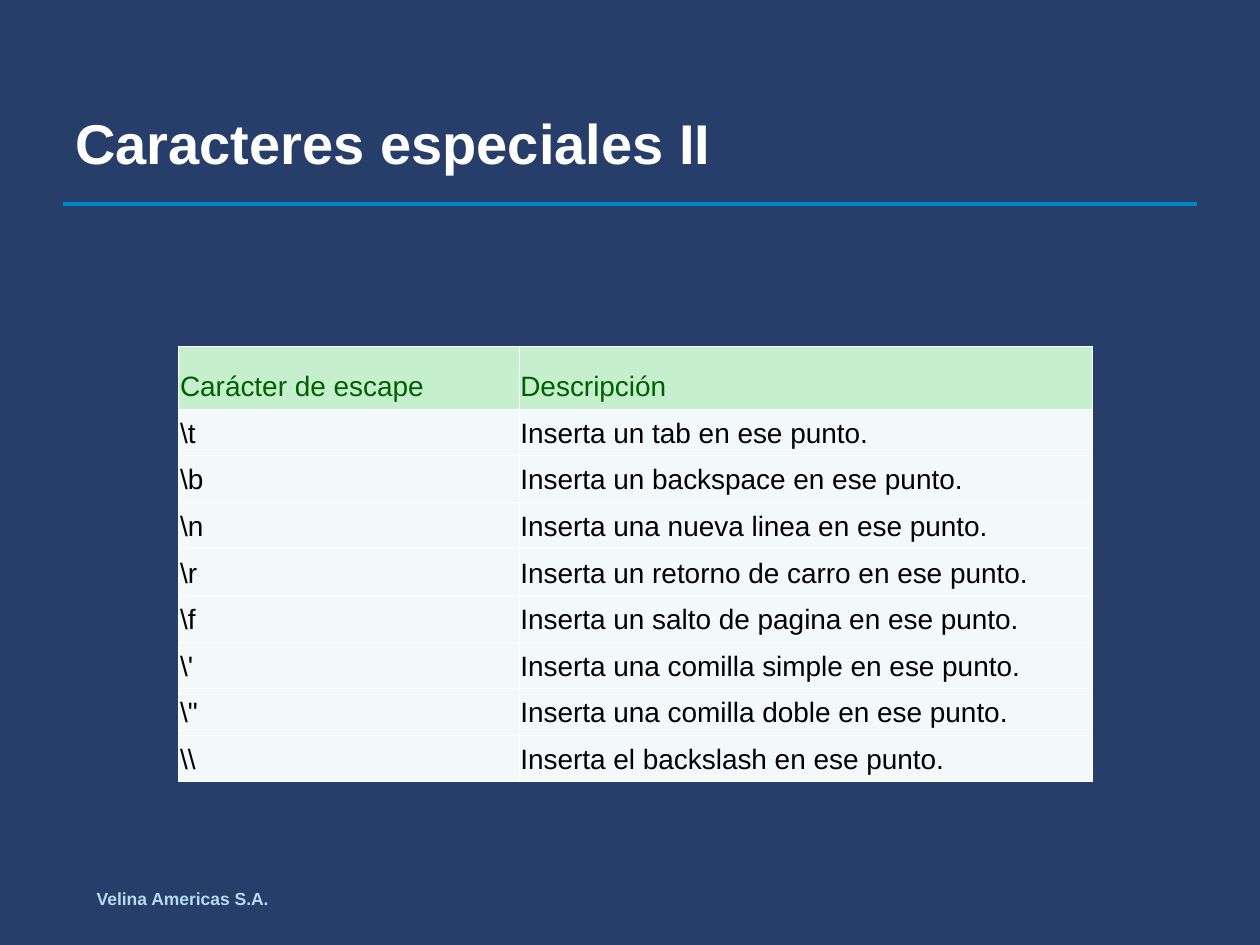
"""Build the slide that lists special escape characters."""
from lxml.etree import SubElement
from pptx import Presentation
from pptx.dml.color import RGBColor
from pptx.enum.shapes import MSO_CONNECTOR
from pptx.enum.text import MSO_ANCHOR
from pptx.oxml import parse_xml
from pptx.oxml.ns import nsdecls, qn
from pptx.util import Cm, Pt

HUES = {
    "back": "283E6A", "rule": "0089C4", "title": "FFFFFF", "foot": "B3DCED",
    "head": "C6EFCE", "green": "006100", "body": "F3F9FA", "ink": "000000",
    "edge": "FFFFFF",
}
ROWS = [
    ("Carácter de escape", "Descripción"),
    (r"\t", "Inserta un tab en ese punto."),
    (r"\b", "Inserta un backspace en ese punto."),
    (r"\n", "Inserta una nueva linea en ese punto."),
    (r"\r", "Inserta un retorno de carro en ese punto."),
    (r"\f", "Inserta un salto de pagina en ese punto."),
    (r"\'", "Inserta una comilla simple en ese punto."),
    (r"\"", "Inserta una comilla doble en ese punto."),
    (r"\\", "Inserta el backslash en ese punto."),
]


def color(name):
    return RGBColor.from_string(HUES[name])


def write(frame, text, size, hue, bold=False):
    line = frame.paragraphs[0]
    line.text = text
    line.font.name = "Arial"
    line.font.size = Pt(size)
    line.font.bold = bold
    line.font.color.rgb = color(hue)


deck = Presentation()
deck.slide_width, deck.slide_height = Cm(25.4), Cm(19.05)
slide = deck.slides.add_slide(deck.slide_layouts[6])
slide.background.fill.solid()
slide.background.fill.fore_color.rgb = color("back")

rule = slide.shapes.add_connector(
    MSO_CONNECTOR.STRAIGHT, Cm(1.27), Cm(4.11), Cm(24.13), Cm(4.11))
rule.line.color.rgb = color("rule")
rule.line.width = Pt(2.25)
SubElement(rule.element.spPr, qn("a:effectLst"))

labels = [
    ("Velina Americas S.A.", (1.7, 17.78, 15.04, 0.89), 10, "foot", MSO_ANCHOR.TOP),
    ("Caracteres especiales II", (1.27, 1.27, 22.86, 3.18), 32, "title", MSO_ANCHOR.MIDDLE),
]
for text, place, size, hue, anchor in labels:
    frame = slide.shapes.add_textbox(*map(Cm, place)).text_frame
    frame.word_wrap = True
    frame.vertical_anchor = anchor
    write(frame, text, size, hue, bold=True)

grid = slide.shapes.add_table(
    len(ROWS), 2, Cm(3.6), Cm(6.98), Cm(18.42), Cm(8.31)).table
grid.columns[0].width, grid.columns[1].width = Cm(6.86), Cm(11.56)
for row, texts in enumerate(ROWS):
    grid.rows[row].height = Cm(0.88 if row else 1.27)
    fill, ink = ("body", "ink") if row else ("head", "green")
    for col, text in enumerate(texts):
        cell = grid.cell(row, col)
        cell.margin_left = cell.margin_right = Cm(0.03)
        cell.margin_top = cell.margin_bottom = Cm(0.13)
        cell.vertical_anchor = MSO_ANCHOR.BOTTOM
        write(cell.text_frame, text, 16, ink)
        for side in "LRTB":
            cell._tc.get_or_add_tcPr().append(parse_xml(
                f'<a:ln{side} {nsdecls("a")} w="{Pt(0.45)}"><a:solidFill>'
                f'<a:srgbClr val="{HUES["edge"]}"/></a:solidFill></a:ln{side}>'))
        cell.fill.solid()
        cell.fill.fore_color.rgb = color(fill)

deck.save("out.pptx")
